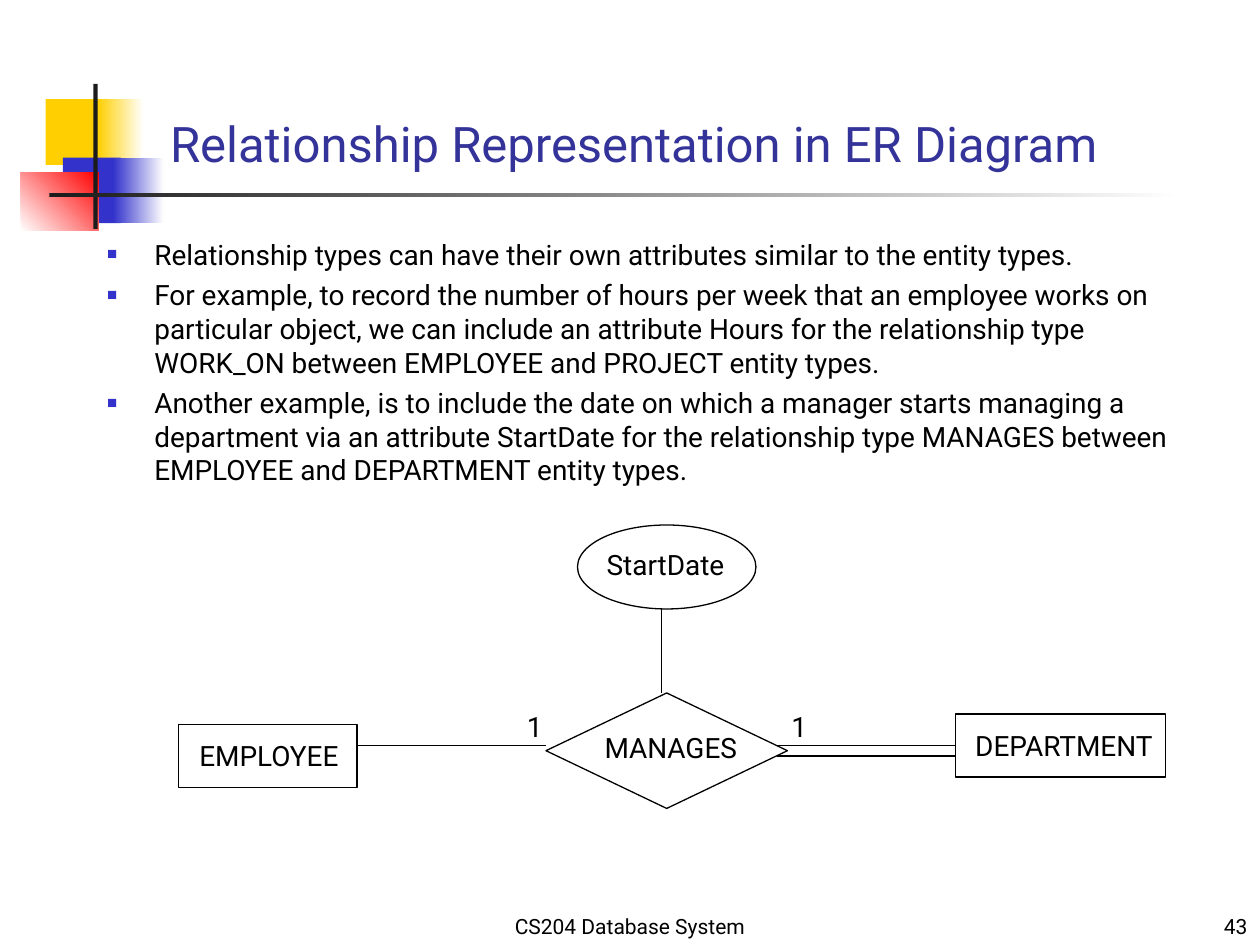
import dataclasses
import lxml.etree
import pptx
import pptx.dml.color
import pptx.enum.shapes
import pptx.enum.text
import pptx.oxml.ns
import pptx.util

KIND = pptx.enum.shapes.MSO_SHAPE
ALIGN = pptx.enum.text.PP_ALIGN
ANCHOR = pptx.enum.text.MSO_ANCHOR


@dataclasses.dataclass
class Theme:
    """Colours, font and type sizes of the deck."""
    font: str = "Roboto"
    ink: str = "000000"
    dark: str = "1C1C1C"
    white: str = "FFFFFF"
    gold: str = "FFCF01"
    blue: str = "3333CC"
    red: str = "FF0000"
    head: str = "333399"
    title: int = 28
    text: int = 16
    foot: int = 12
    line: float = 0.75
    gap: int = 4


def rgb(code):
    """Turn a hex code into a colour."""
    return pptx.dml.color.RGBColor.from_string(code)


def grid(*cells):
    """Turn grid units, twelve to the inch, into lengths."""
    return [pptx.util.Inches(cell / 12) for cell in cells]


class Page:
    """Holds the theme and the current slide, and draws on a grid of 120 by 90."""

    def __init__(self, deck, theme):
        """Add a title and body slide to the deck."""
        self.theme = theme
        self.slide = deck.slides.add_slide(deck.slide_layouts[1])

    def style(self, para, size, color, align=ALIGN.LEFT):
        """Format a paragraph and its runs."""
        para.alignment = align
        for run in para.runs:
            run.font.name = self.theme.font
            run.font.size = pptx.util.Pt(size)
            run.font.color.rgb = rgb(color)

    def place(self, item, box):
        """Move a placeholder and fix its text size."""
        item.left, item.top, item.width, item.height = grid(*box)
        item.text_frame.auto_size = pptx.enum.text.MSO_AUTO_SIZE.NONE
        return item.text_frame

    def title(self, text, box):
        """Fill the title placeholder."""
        frame = self.place(self.slide.shapes.title, box)
        frame.vertical_anchor = ANCHOR.BOTTOM
        frame.text = text
        self.style(frame.paragraphs[0], self.theme.title, self.theme.head)

    def bullet(self, para):
        """Give a paragraph a square bullet and a hanging indent."""
        props = para._p.get_or_add_pPr()
        dent = pptx.util.Inches(0.375)
        props.set("marL", str(dent))
        props.set("indent", str(-dent))
        name = pptx.oxml.ns.qn
        tint = lxml.etree.SubElement(props, name("a:buClr"))
        lxml.etree.SubElement(tint, name("a:srgbClr"), val=self.theme.blue)
        lxml.etree.SubElement(props, name("a:buSzPct"), val="60000")
        lxml.etree.SubElement(props, name("a:buChar"), char="■")

    def body(self, items, box):
        """Fill the body placeholder with a bullet list."""
        frame = self.place(self.slide.placeholders[1], box)
        frame.text = "\n".join(items)
        for rank, para in enumerate(frame.paragraphs):
            self.bullet(para)
            para.space_before = pptx.util.Pt(self.theme.gap if rank else 0)
            self.style(para, self.theme.text, self.theme.ink)

    def block(self, box, start, end=None, angle=0):
        """Draw a rectangle with a plain or fading fill."""
        shape = self.slide.shapes.add_shape(KIND.RECTANGLE, *grid(*box))
        shape.shadow.inherit = False
        shape.line.fill.background()
        if end is None:
            shape.fill.solid()
            shape.fill.fore_color.rgb = rgb(start)
            return
        shape.fill.gradient()
        shape.fill.gradient_angle = angle
        for stop, color in zip(shape.fill.gradient_stops, (start, end)):
            stop.color.rgb = rgb(color)

    def node(self, kind, box):
        """Draw an outlined diagram shape."""
        shape = self.slide.shapes.add_shape(kind, *grid(*box))
        shape.shadow.inherit = False
        shape.fill.background()
        shape.line.color.rgb = rgb(self.theme.ink)
        shape.line.width = pptx.util.Pt(self.theme.line)

    def link(self, *ends):
        """Draw a straight line between two points."""
        kind = pptx.enum.shapes.MSO_CONNECTOR.STRAIGHT
        line = self.slide.shapes.add_connector(kind, *grid(*ends))
        line.line.color.rgb = rgb(self.theme.ink)
        line.line.width = pptx.util.Pt(self.theme.line)
        props = line._element.spPr
        lxml.etree.SubElement(props, pptx.oxml.ns.qn("a:effectLst"))

    def label(self, text, box):
        """Write a one-line diagram label."""
        frame = self.slide.shapes.add_textbox(*grid(*box)).text_frame
        frame.word_wrap = False
        frame.text = text
        self.style(frame.paragraphs[0], self.theme.text, self.theme.ink)

    def foot(self, text, box, align):
        """Write a footer text."""
        frame = self.slide.shapes.add_textbox(*grid(*box)).text_frame
        frame.word_wrap = True
        frame.vertical_anchor = ANCHOR.BOTTOM
        frame.text = text
        self.style(frame.paragraphs[0], self.theme.foot, self.theme.ink, align)


def main():
    """Build the slide and save it."""
    deck = pptx.Presentation()
    deck.slide_width, deck.slide_height = grid(120, 90)
    theme = Theme()
    page = Page(deck, theme)

    page.block((4.35, 9.45, 5.75, 6.25), theme.gold)
    page.block((9.3, 9.45, 4.35, 6.25), theme.gold, theme.white)
    page.block((6, 15, 5.5, 6.25), theme.blue)
    page.block((10.8, 15, 4.8, 6.25), theme.blue, theme.white)
    page.block((2, 16.4, 7.4, 5.6), theme.white, theme.red, 45)
    page.block((8.9, 8, 0.4, 13.8), theme.dark)
    page.block((4.7, 18.4, 108, 0.4), theme.dark, theme.white)

    page.foot("CS204 Database System", (41, 85, 38, 5), ALIGN.CENTER)
    page.foot("43", (95, 85, 25, 5), ALIGN.RIGHT)
    page.title("Relationship Representation in ER Diagram",
               (15, 9, 102.25, 8))
    page.body((
        "Relationship types can have their own attributes similar to the "
        "entity types.",
        "For example, to record the number of hours per week that an employee "
        "works on particular object, we can include an attribute Hours for "
        "the relationship type WORK_ON between EMPLOYEE and PROJECT entity "
        "types.",
        "Another example, is to include the date on which a manager starts "
        "managing a department via an attribute StartDate for the "
        "relationship type MANAGES between EMPLOYEE and DEPARTMENT entity "
        "types."), (9, 22, 106, 63))

    page.node(KIND.DIAMOND, (52, 66, 23, 11))
    page.node(KIND.RECTANGLE, (17, 69, 17, 6))
    page.node(KIND.RECTANGLE, (91, 68, 20, 6))
    page.node(KIND.OVAL, (55, 50, 17, 8))

    page.link(52, 71, 34, 71)
    page.link(63, 66, 63, 58)
    for row in (71, 72):
        page.link(74, row, 91, row)

    for text, left, top, width in (
            ("EMPLOYEE", 17.8, 69.7, 16.4), ("MANAGES", 56.4, 69, 15.1),
            ("DEPARTMENT", 91.7, 68.8, 19.7), ("StartDate", 56.6, 51.6, 14.3),
            ("1", 49, 67, 3.8), ("1", 74.2, 67, 3.8)):
        page.label(text, (left, top, width, 4.4))

    deck.save("out.pptx")


if __name__ == "__main__":
    main()
